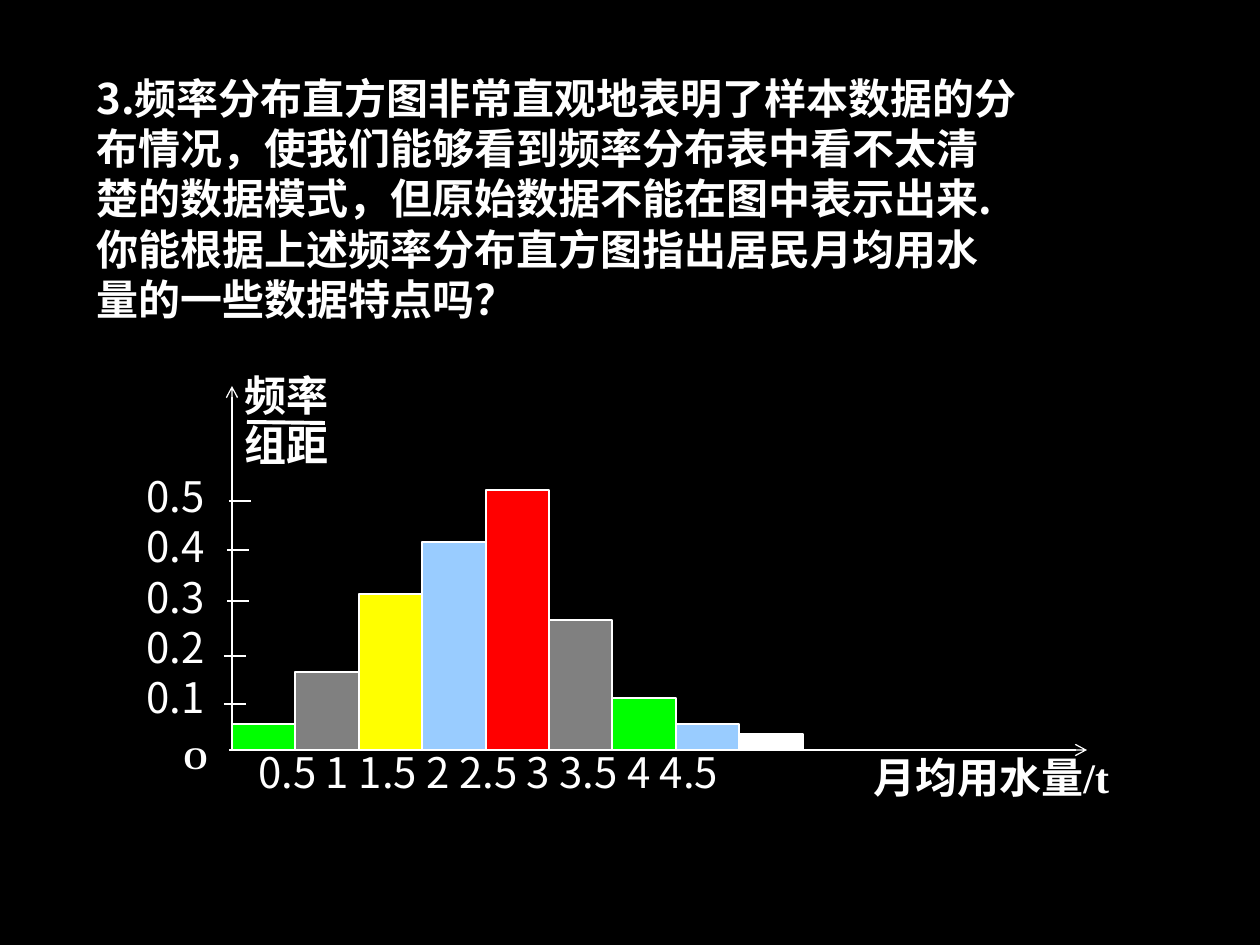
from lxml.etree import SubElement
from pptx import Presentation
from pptx.dml.color import RGBColor
from pptx.enum.shapes import MSO_CONNECTOR as Connector, MSO_SHAPE as Shape
from pptx.enum.text import PP_ALIGN as Align
from pptx.oxml.ns import qn
from pptx.util import Emu, Pt

PX_PER_INCH = 126
COLORS = {
    "background": "000000",
    "white": "FFFFFF",
    "green": "00FF00",
    "gray": "808080",
    "yellow": "FFFF00",
    "blue": "99CCFF",
    "red": "FF0000",
}
SANS, SERIF = "Noto Sans CJK SC", "Times New Roman"

QUESTION = (
    "3.频率分布直方图非常直观地表明了样本数据的分布情况，"
    "使我们能够看到频率分布表中看不太清楚的数据模式，"
    "但原始数据不能在图中表示出来."
    "你能根据上述频率分布直方图指出居民月均用水量的一些数据特点吗？"
)

# Histogram geometry, in px
ORIGIN_X, BASELINE = 232, 750
BAR_PITCH, PX_PER_UNIT = 63.4, 520
BARS = [
    (0.05, "green"), (0.15, "gray"), (0.3, "yellow"),
    (0.4, "blue"), (0.5, "red"), (0.25, "gray"),
    (0.1, "green"), (0.05, "blue"), (0.03, "white"),
]
TICKS = [(229, 501), (227, 550), (227, 601), (224, 656), (224, 704)]
TICK_LENGTH = 22


def px(length):
    return Emu(round(length * 914400 / PX_PER_INCH))


def color(name):
    return RGBColor.from_string(COLORS[name])


def add_text(page, left, top, width, height, text, font=SANS, size=24,
             bold=False, align=Align.JUSTIFY):
    box = page.shapes.add_textbox(px(left), px(top), px(width), px(height))
    frame = box.text_frame
    frame.word_wrap = True
    frame.text = text
    for para in frame.paragraphs:
        para.alignment = align
        for span in para.runs:
            span.font.name = font
            span.font.size = Pt(size)
            span.font.bold = bold
            span.font.color.rgb = color("white")
            # Chinese characters always use the sans face
            SubElement(span.font._element, qn("a:ea"), typeface=SANS)


def add_line(page, start, end, width=0.75, arrow=False):
    line = page.shapes.add_connector(
        Connector.STRAIGHT, *(px(value) for value in (*start, *end)))
    line.line.color.rgb = color("white")
    line.line.width = Pt(width)
    if arrow:
        SubElement(line.line._get_or_add_ln(), qn("a:tailEnd"), type="arrow")
    SubElement(line._element.spPr, qn("a:effectLst"))


def add_bar(page, index, density, fill):
    left = round(ORIGIN_X + index * BAR_PITCH)
    right = round(ORIGIN_X + (index + 1) * BAR_PITCH)
    height = round(density * PX_PER_UNIT)
    bar = page.shapes.add_shape(
        Shape.RECTANGLE, px(left), px(BASELINE - height),
        px(right - left), px(height))
    bar.shadow.inherit = False
    bar.fill.solid()
    bar.fill.fore_color.rgb = color(fill)
    bar.line.color.rgb = color("white")
    bar.line.width = Pt(0.75)


def add_axes(page):
    # Labels
    add_text(page, 861, 745, 286, 78, "月均用水量/t", SERIF, bold=True)
    add_text(page, 232, 363, 127, 130, "频率\n组距", SERIF, bold=True)
    add_text(page, 134, 464, 127, 286, "0.5\n0.4\n0.3\n0.2\n0.1")
    add_text(page, 246, 740, 682, 78, "0.5 1 1.5 2 2.5 3 3.5 4 4.5")
    add_text(page, 171, 732, 63, 78, "O", SERIF, size=18, bold=True)

    # Axes, fraction bar and ticks
    add_line(page, (229, BASELINE), (1087, BASELINE), arrow=True)
    add_line(page, (ORIGIN_X, BASELINE), (ORIGIN_X, 386), arrow=True)
    add_line(page, (247, 422), (325, 423), width=2.25)
    for left, top in TICKS:
        add_line(page, (left, top), (left + TICK_LENGTH, top))


def main():
    deck = Presentation()
    deck.slide_width, deck.slide_height = px(1260), px(945)
    page = deck.slides.add_slide(deck.slide_layouts[6])
    page.background.fill.solid()
    page.background.fill.fore_color.rgb = color("background")

    add_text(page, 84, 66, 948, 265, QUESTION, bold=True, align=Align.LEFT)
    add_axes(page)
    for index, (density, fill) in enumerate(BARS):
        add_bar(page, index, density, fill)

    deck.save("out.pptx")


if __name__ == "__main__":
    main()
